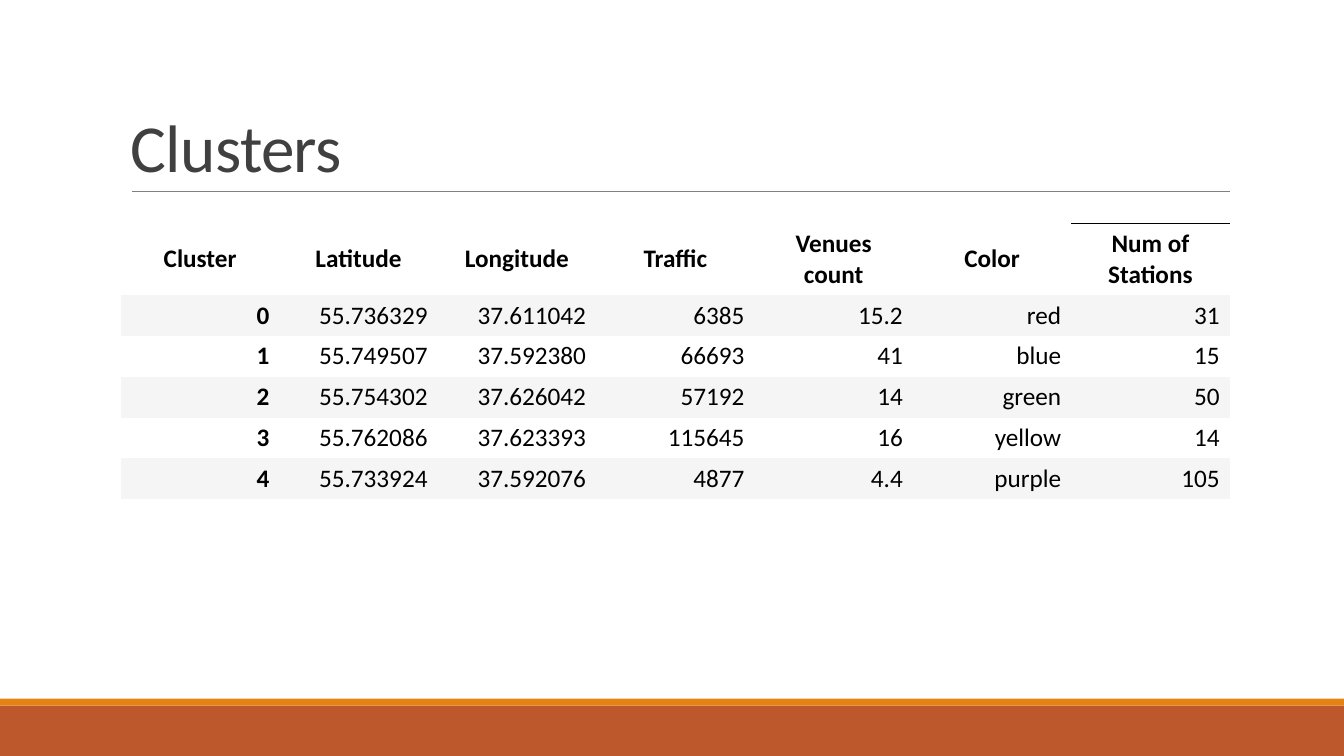
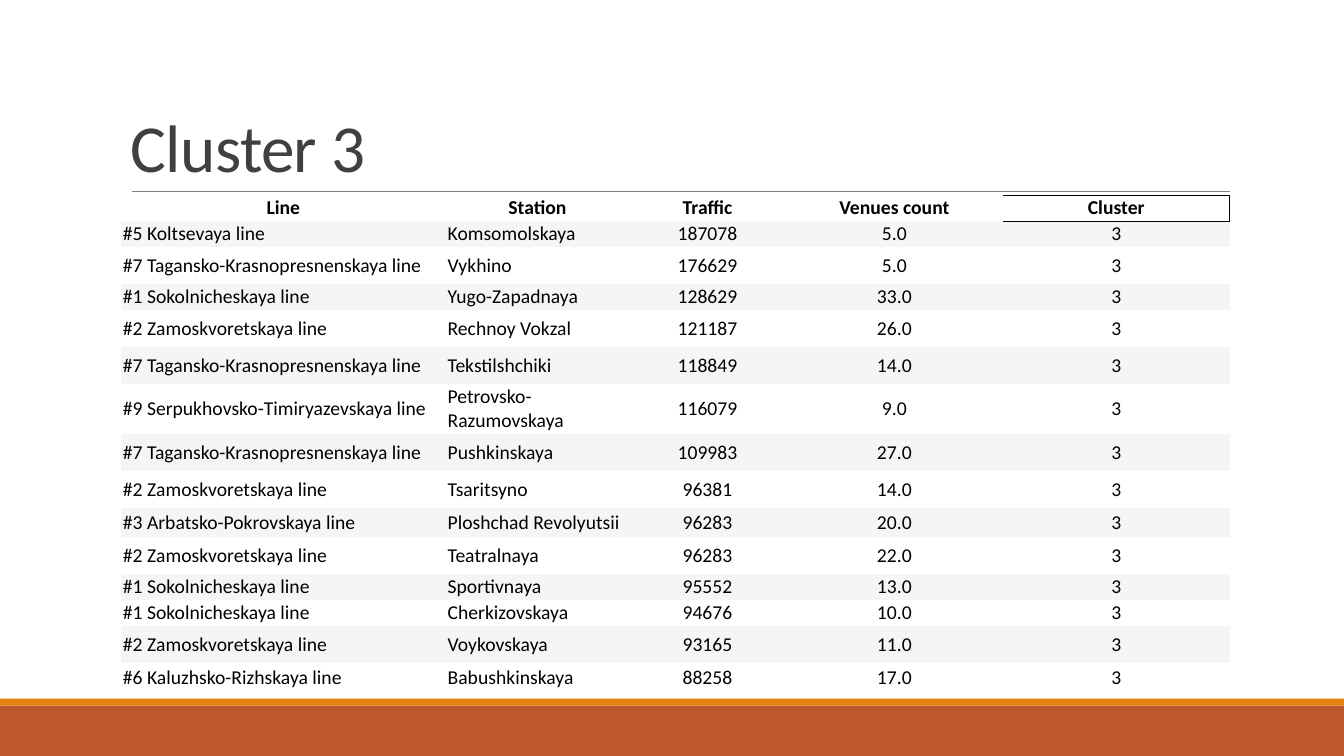
from lxml.etree import SubElement
from pptx import Presentation
from pptx.dml.color import RGBColor
from pptx.enum.shapes import MSO_CONNECTOR, MSO_SHAPE
from pptx.enum.text import MSO_ANCHOR, PP_ALIGN
from pptx.oxml.ns import qn
from pptx.util import Pt

RUST = RGBColor(0xBD, 0x58, 0x2C)
ORANGE = RGBColor(0xE4, 0x83, 0x12)
RULE_GRAY = RGBColor(0x80, 0x80, 0x80)
TITLE_GRAY = RGBColor(0x40, 0x40, 0x40)
STRIPE = RGBColor(0xF5, 0xF5, 0xF5)
WHITE = RGBColor(0xFF, 0xFF, 0xFF)
BLACK = RGBColor(0, 0, 0)

FONT = "Calibri"
SLIDE_W, SLIDE_H = 960, 540
LEFT, CONTENT_W = 86.4, 792
NO_GRID_STYLE = "{2D5ABB26-0587-4C30-8999-92F81FD0307C}"
L, C, R = PP_ALIGN.LEFT, PP_ALIGN.CENTER, PP_ALIGN.RIGHT


def set_all(target, values):
    for name, value in values.items():
        setattr(target, name, value)


def add_band(slide, top, height, color):
    band = slide.shapes.add_shape(
        MSO_SHAPE.RECTANGLE, 0, Pt(top), Pt(SLIDE_W), Pt(height))
    band.shadow.inherit = False
    band.fill.solid()
    band.fill.fore_color.rgb = color
    band.line.fill.background()


def add_title(slide, text, left, top, width, height):
    frame = slide.shapes.add_textbox(
        Pt(left), Pt(top), Pt(width), Pt(height)).text_frame
    set_all(frame, {"word_wrap": True, "vertical_anchor": MSO_ANCHOR.BOTTOM})
    heading = frame.paragraphs[0]
    heading.line_spacing = 0.85
    run = heading.add_run()
    run.text = text
    set_all(run.font, {"name": FONT, "size": Pt(48)})
    run.font.color.rgb = TITLE_GRAY
    run.font._element.set("spc", "-50")

    # Rule under the title
    bottom = Pt(top + height)
    rule = slide.shapes.add_connector(
        MSO_CONNECTOR.STRAIGHT, Pt(left + 7.9), bottom, Pt(left + width), bottom)
    rule.line.color.rgb = RULE_GRAY
    rule.line.width = Pt(0.5)
    SubElement(rule._element.spPr, qn("a:effectLst"))


def add_base(deck, title):
    slide = deck.slides.add_slide(deck.slide_layouts[6])
    add_band(slide, 504, SLIDE_H - 504, RUST)
    add_band(slide, 499, 5, ORANGE)
    add_title(slide, title, LEFT, 22.5, CONTENT_W, 114.1)
    return slide


def add_borders(cell, sides):
    for side in sides:
        edge = SubElement(cell._tc.get_or_add_tcPr(), qn(f"a:ln{side}"), w=str(Pt(0.75)))
        fill = SubElement(edge, qn("a:solidFill"))
        SubElement(fill, qn("a:srgbClr"), val=str(BLACK))


def fill_cell(cell, text, color, size, bold, align, margins):
    set_all(cell, margins)
    cell.vertical_anchor = MSO_ANCHOR.MIDDLE
    cell.fill.solid()
    cell.fill.fore_color.rgb = color
    entry = cell.text_frame.paragraphs[0]
    entry.alignment = align
    run = entry.add_run()
    run.text = text
    set_all(run.font, {"name": FONT, "size": Pt(size), "bold": bold})
    run.font.color.rgb = BLACK


def add_data_table(slide, top, rows, widths, heights, size, aligns, inset,
                   bold_columns, last_header_borders):
    """Table with a bold centred header and alternating row stripes."""
    table = slide.shapes.add_table(
        len(rows), len(widths), Pt(LEFT), Pt(top),
        Pt(sum(widths)), Pt(sum(heights))).table
    set_all(table, {"first_row": False, "horz_banding": False})
    table._tbl.tblPr.find(qn("a:tableStyleId")).text = NO_GRID_STYLE
    for column, width in zip(table.columns, widths):
        column.width = Pt(width)
    for row, height in zip(table.rows, heights):
        row.height = Pt(height)

    side, edge = inset
    margins = {"margin_left": Pt(side), "margin_right": Pt(side),
               "margin_top": Pt(edge), "margin_bottom": Pt(edge)}
    add_borders(table.cell(0, len(widths) - 1), last_header_borders)
    for r, values in enumerate(rows):
        for c, text in enumerate(values):
            header = r == 0
            fill_cell(table.cell(r, c), text, STRIPE if r % 2 else WHITE, size,
                      header or c < bold_columns, C if header else aligns[c], margins)


def build_clusters(deck):
    slide = add_base(deck, "Clusters")
    rows = [
        ("Cluster", "Latitude", "Longitude", "Traffic", "Venues count", "Color",
         "Num of Stations"),
        ("0", "55.736329", "37.611042", "6385", "15.2", "red", "31"),
        ("1", "55.749507", "37.592380", "66693", "41", "blue", "15"),
        ("2", "55.754302", "37.626042", "57192", "14", "green", "50"),
        ("3", "55.762086", "37.623393", "115645", "16", "yellow", "14"),
        ("4", "55.733924", "37.592076", "4877", "4.4", "purple", "105"),
    ]
    columns = len(rows[0])
    add_data_table(slide, 159.5, rows, [CONTENT_W / columns] * columns,
                   [51.2] + [29.2] * 5, 18, [R] * columns, (7.2, 3.6), 1, "T")


def build_cluster_3(deck):
    slide = add_base(deck, "Cluster 3")
    line_names = {
        1: "Sokolnicheskaya", 2: "Zamoskvoretskaya", 3: "Arbatsko-Pokrovskaya",
        5: "Koltsevaya", 6: "Kaluzhsko-Rizhskaya",
        7: "Tagansko-Krasnopresnenskaya", 9: "Serpukhovsko-Timiryazevskaya",
    }
    low, mid, tall, double = 18.5, 20.8, 26.5, 35.6
    # Line number, station, traffic, venues count, row height
    stations = [
        (5, "Komsomolskaya", "187078", "5.0", low),
        (7, "Vykhino", "176629", "5.0", tall),
        (1, "Yugo-Zapadnaya", "128629", "33.0", low),
        (2, "Rechnoy Vokzal", "121187", "26.0", tall),
        (7, "Tekstilshchiki", "118849", "14.0", tall),
        (9, "Petrovsko-Razumovskaya", "116079", "9.0", double),
        (7, "Pushkinskaya", "109983", "27.0", tall),
        (2, "Tsaritsyno", "96381", "14.0", tall),
        (3, "Ploshchad Revolyutsii", "96283", "20.0", mid),
        (2, "Teatralnaya", "96283", "22.0", tall),
        (1, "Sportivnaya", "95552", "13.0", low),
        (1, "Cherkizovskaya", "94676", "10.0", low),
        (2, "Voykovskaya", "93165", "11.0", tall),
        (6, "Babushkinskaya", "88258", "17.0", mid),
    ]
    rows = [("Line", "Station", "Traffic", "Venues count", "Cluster")]
    heights = [low]
    for number, station, traffic, venues, height in stations:
        line = f"#{number} {line_names[number]} line"
        rows.append((line, station, traffic, venues, "3"))
        heights.append(height)
    add_data_table(slide, 139.5, rows, [232, 131, 112, 155, 162], heights, 14,
                   [L, L, C, C, C], (1.4, 0.7), 0, "RTB")


deck = Presentation()
set_all(deck, {"slide_width": Pt(SLIDE_W), "slide_height": Pt(SLIDE_H)})
build_clusters(deck)
build_cluster_3(deck)
deck.save("out.pptx")
